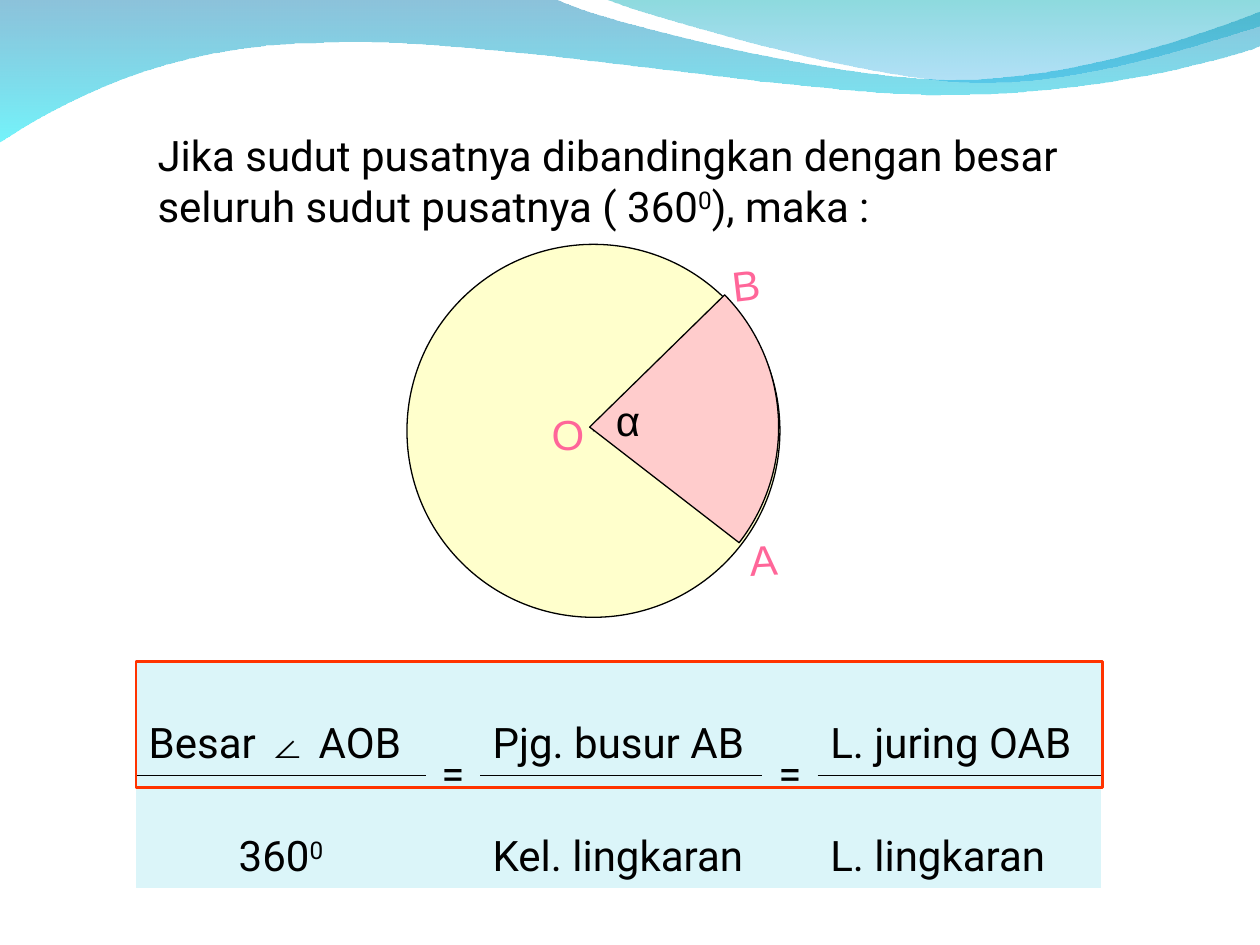
from math import ceil, cos, radians, sin, tan

from lxml.etree import SubElement
from pptx import Presentation
from pptx.dml.color import RGBColor
from pptx.enum.shapes import MSO_SHAPE
from pptx.enum.text import MSO_ANCHOR, PP_ALIGN
from pptx.oxml import parse_xml
from pptx.oxml.ns import nsdecls, qn
from pptx.util import Inches, Pt

COLS, ROWS = 10, 7.5  # the slide is a grid of one-inch cells
HUES = {
    "ink": "000000", "rose": "FF6699", "cream": "FFFFCC", "pink": "FFCCCC",
    "ice": "DBF5F9", "red": "FF3300", "sea": "0079AF", "aqua": "00EBF8",
    "teal": "00ADB6", "sky": "009BE5",
}


def hue(name):
    return RGBColor.from_string(HUES[name])


def grid(*cells):
    return [Inches(cell) for cell in cells]


def write(para, runs, font="Roboto", color="ink"):
    """Fill a paragraph; a run is text or a pair of text and 'sup' or font name."""
    para.font.size, para.font.name = Pt(24), font
    para.font.color.rgb = hue(color)
    for item in runs:
        text, mark = item if isinstance(item, tuple) else (item, None)
        run = para.add_run()
        run.text = text
        if mark == "sup":
            run._r.get_or_add_rPr().set("baseline", "30000")
        elif mark:
            run.font.name = mark


def outline(shapes, box, parts):
    """Draw a closed form from parts of one point (line) or three (curve)."""
    left, top = box
    spots = [grid(left + x, top + y) for part in parts for x, y in part]
    pen = shapes.build_freeform(*spots[0], scale=1.0)
    pen.add_line_segments(spots[1:], close=True)
    shape = pen.convert_to_shape()
    shape.shadow.inherit = False
    lines = iter(list(shape._element.iter(qn("a:lnTo"))))
    for part in parts[1:]:
        first, *rest = [next(lines) for _ in part]
        if rest:
            first.tag = qn("a:cubicBezTo")
        for line in rest:
            first.append(line[0])
            line.getparent().remove(line)
    return shape


def wave(shapes, box, parts, stops):
    shape = outline(shapes, box, parts)
    shape.line.fill.background()
    shape.fill.gradient()
    shape.fill.gradient_angle = 270
    for stop, (name, alpha) in zip(shape.fill.gradient_stops, stops):
        stop.color.rgb = hue(name)
        tint = stop._gs.find(qn("a:srgbClr"))
        SubElement(tint, qn("a:alpha")).set("val", str(alpha * 1000))


def banner(shapes, box):
    wave(shapes, box, [
        [(0, -0.01)], [(4.4, -0.01)],
        [(4.76, 0.17), (6.64, 0.63), (7.58, 0.63)],
        [(8.53, 0.63), (9.58, 0.26), (10, 0.09)], [(10.01, 0.36)],
        [(9.83, 0.44), (8.7, 0.76), (7.46, 0.75)],
        [(6.22, 0.75), (3.82, 0.28), (2.57, 0.34)],
        [(1.29, 0.35), (0.46, 0.83), (-0.01, 1.13)],
    ], [("sea", 45), ("aqua", 55)])
    wave(shapes, box, [
        [(4.79, -0.01)], [(5.09, 0.11), (6.82, 0.62), (7.69, 0.65)],
        [(8.56, 0.69), (9.61, 0.32), (10, 0.21)], [(10, 0)],
    ], [("teal", 45), ("sky", 30)])


def heading(shapes, box):
    frame = shapes.add_textbox(*grid(*box)).text_frame
    frame.word_wrap = True
    frame.vertical_anchor = MSO_ANCHOR.BOTTOM
    frame.margin_left = frame.margin_right = frame.margin_bottom = 0
    write(frame.paragraphs[0], [
        "Jika sudut pusatnya dibandingkan dengan besar seluruh sudut pusatnya ( 360",
        ("0", "sup"), "), maka :"])


def sector(shapes, hub, size, start, sweep, color):
    """Draw a slice clockwise from the start angle, in degrees."""
    count = ceil(sweep / 90)
    step = radians(sweep / count)
    pull = 4 / 3 * tan(step / 4)

    def spot(angle, lean=0):
        return (size * (cos(angle) - lean * sin(angle)),
                size * (sin(angle) + lean * cos(angle)))

    first = radians(start)
    parts = [[spot(first)]]
    for turn in range(count):
        near = first + turn * step
        far = near + step
        parts.append([spot(near, pull), spot(far, -pull), spot(far)])
    shape = outline(shapes, hub, parts + [[(0, 0)]])
    shape.fill.solid()
    shape.fill.fore_color.rgb = hue(color)
    shape.line.color.rgb = hue("ink")
    shape.line.width = Pt(0.75)
    return shape


def circle(shapes, box):
    left, top = box
    group = shapes.add_group_shape().shapes

    def spot(x, y):
        return left + x, top + y

    disc = sector(group, spot(1.48, 1.48), 1.48, -90, 360, "cream")
    disc.rotation = 46.1
    sector(group, spot(1.45, 1.45), 1.5, -44.4, 82.1, "pink")
    for text, x, y, wide, turn, color in (
            ("O", 1.05, 1.25, 0.39, 0, "rose"), ("B", 2.48, 0.07, 0.39, -6.8, "rose"),
            ("A", 2.62, 2.25, 0.39, -3.1, "rose"), ("α", 1.56, 1.14, 0.5, 0, "ink")):
        label = group.add_textbox(*grid(*spot(x, y), wide, 0.5))
        label.rotation = turn
        label.text_frame.word_wrap = True
        write(label.text_frame.paragraphs[0], [text], "Arial", color)


def border(cell, rule):
    """Draw only the side named by rule ('T', 'B' or None)."""
    props = cell._tc.get_or_add_tcPr()
    for spot, side in enumerate("LRTB"):
        fill = (f'<a:solidFill><a:srgbClr val="{HUES["ink"]}"/></a:solidFill>'
                if side == rule else "<a:noFill/>")
        props.insert(spot, parse_xml(
            f'<a:ln{side} {nsdecls("a")} w="5715">{fill}</a:ln{side}>'))


def ratios(shapes, box):
    frame = shapes.add_table(2, 5, *grid(*box))
    table = frame.table
    table.first_row = table.horz_banding = False
    for col, wide in zip(table.columns, grid(2.3, 0.43, 2.24, 0.44, 2.25)):
        col.width = wide
    for row in table.rows:
        row.height = Inches(0.9)
    frame.width, frame.height = grid(*box[2:])
    texts = [
        [["Besar ", ("∠", "Arial"), " AOB"], ["="], ["Pjg. busur AB"], ["="],
         ["L. juring OAB"]],
        [["360", ("0", "sup")], [], ["Kel. lingkaran"], [], ["L. lingkaran"]],
    ]
    for r, line in enumerate(texts):
        for c, runs in enumerate(line):
            cell, sign = table.cell(r, c), c % 2 == 1
            cell.fill.solid()
            cell.fill.fore_color.rgb = hue("ice")
            cell.vertical_anchor = MSO_ANCHOR.MIDDLE if sign else MSO_ANCHOR.BOTTOM
            border(cell, None if sign else "BT"[r])
            para = cell.text_frame.paragraphs[0]
            if sign or (r, c) == (1, 0):
                para.alignment = PP_ALIGN.CENTER
            write(para, runs)
    for c in (1, 3):
        table.cell(0, c).merge(table.cell(1, c))
    edge = shapes.add_shape(MSO_SHAPE.RECTANGLE, *grid(*box))
    edge.shadow.inherit = False
    edge.fill.background()
    edge.line.color.rgb = hue("red")
    edge.line.width = Pt(1.5)


def main():
    deck = Presentation()
    deck.slide_width, deck.slide_height = grid(COLS, ROWS)
    shapes = deck.slides.add_slide(deck.slide_layouts[6]).shapes
    banner(shapes, (0, 0))
    heading(shapes, (1.25, 0.58, 7.25, 1.25))
    circle(shapes, (3.23, 1.94))
    ratios(shapes, (1.08, 5.25, 7.67, 1))
    deck.save("out.pptx")


if __name__ == "__main__":
    main()
